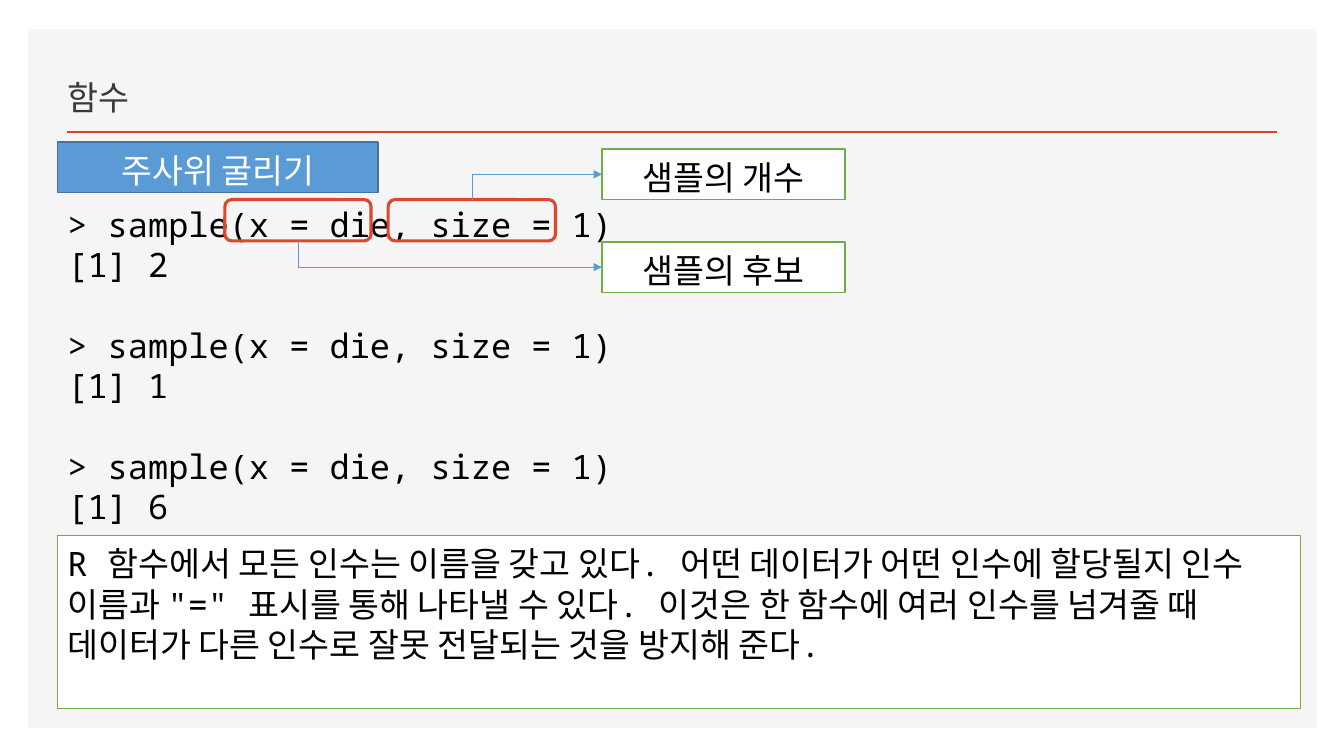
import pptx
import pptx.util
import pptx.dml.color
import pptx.enum.shapes
import pptx.enum.text
import pptx.oxml.ns
from lxml import etree

SHAPE = pptx.enum.shapes.MSO_SHAPE
CONNECTOR = pptx.enum.shapes.MSO_CONNECTOR
ANCHOR = pptx.enum.text.MSO_ANCHOR
ALIGN = pptx.enum.text.PP_ALIGN
qn = pptx.oxml.ns.qn
Pt = pptx.util.Pt


def rgb(value):
    return pptx.dml.color.RGBColor.from_string(value)


class Deck:
    COLUMNS, ROWS = 133.3, 75
    SIZE, LEADING = 24, 28.8
    HANGUL, MONO, TITLE = "Noto Sans CJK KR", "Noto Sans Mono", "Lato"
    RED, GREEN, BLUE = "DD462F", "70AD47", "5B9BD5"

    def __init__(self):
        self.prs = pptx.Presentation()
        self.prs.slide_width = pptx.util.Inches(13.33)
        self.prs.slide_height = pptx.util.Inches(7.5)
        self.s = self.prs.slides.add_slide(self.prs.slide_layouts[6])

    def x(self, column):
        return round(self.prs.slide_width * column / self.COLUMNS)

    def y(self, row):
        return round(self.prs.slide_height * row / self.ROWS)

    def place(self, column, row, columns, rows):
        return self.x(column), self.y(row), self.x(columns), self.y(rows)

    def box(self, place, fill=None, line=None, width=1, kind=SHAPE.RECTANGLE):
        sp = self.s.shapes.add_shape(kind, *self.place(*place))
        sp.shadow.inherit = False
        if fill:
            sp.fill.solid()
            sp.fill.fore_color.rgb = rgb(fill)
        else:
            sp.fill.background()
        if line:
            sp.line.color.rgb = rgb(line)
            sp.line.width = Pt(width)
        else:
            sp.line.fill.background()
        return sp

    def textbox(self, place):
        return self.s.shapes.add_textbox(*self.place(*place))

    def set_text(self, sp, lines, font, color="000000", align=ALIGN.LEFT,
                 anchor=ANCHOR.TOP, gap_every=0):
        tf = sp.text_frame
        tf.word_wrap = True
        tf.vertical_anchor = anchor
        tf.margin_top, tf.margin_bottom = self.y(0.8), self.y(0.2)
        for i, line in enumerate(lines):
            p = tf.add_paragraph() if i else tf.paragraphs[0]
            p.text = line
            p.alignment = align
            p.line_spacing = Pt(self.LEADING)
            if i and gap_every and i % gap_every == 0:
                p.space_before = Pt(self.LEADING)
            p.font.size = Pt(self.SIZE)
            p.font.name = font
            p.font.color.rgb = rgb(color)
            ea = etree.SubElement(p._p.pPr.find(qn("a:defRPr")), qn("a:ea"))
            ea.set("typeface", self.HANGUL)

    def label(self, place, text, fill="FFFFFF", line=GREEN,
              font="DejaVu Sans Mono", color="000000"):
        sp = self.box(place, fill, line)
        self.set_text(sp, [text], font, color, ALIGN.CENTER, ANCHOR.MIDDLE)
        return sp

    def marker(self, place):
        return self.box(place, line=self.RED, width=2.25, kind=SHAPE.ROUNDED_RECTANGLE)

    def connector(self, kind, ends, color, width):
        c = self.s.shapes.add_connector(kind, *ends)
        c.line.color.rgb = rgb(color)
        c.line.width = Pt(width)
        etree.SubElement(c._element.spPr, qn("a:effectLst"))
        return c

    def rule(self, start, end, row):
        ends = self.x(start), self.y(row), self.x(end), self.y(row)
        self.connector(CONNECTOR.STRAIGHT, ends, "D24726", 2)

    def elbow(self, source, target, up):
        x1 = source.left + source.width // 2
        y1 = source.top if up else source.top + source.height
        x2, y2 = target.left, target.top + target.height // 2
        c = self.connector(CONNECTOR.ELBOW, (x1, y1, x2, y2), self.BLUE, 0.5)
        c.begin_connect(source, 0 if up else 2)
        c.end_connect(target, 1)
        c.width, c.height = abs(y2 - y1), x2 - x1
        c.left = (x1 + x2 - c.width) // 2
        c.top = (y1 + y2 - c.height) // 2
        spPr = c._element.spPr
        xfrm = spPr.find(qn("a:xfrm"))
        xfrm.set("rot", str((90 if up else 270) * 60000))
        xfrm.set("flipH", "1")
        xfrm.set("flipV", "1" if up else "0")
        spPr.find(qn("a:prstGeom")).set("prst", "bentConnector2")
        etree.SubElement(spPr.find(qn("a:ln")), qn("a:tailEnd"), type="triangle")


def main():
    deck = Deck()
    deck.box((2.8, 2.9, 127.8, 69.3), "F5F5F5")
    deck.rule(6.6, 126.7, 13.1)
    deck.set_text(deck.textbox((5.7, 4.8, 48.5, 7)), ["함수"], deck.TITLE, "3B3838",
                  anchor=ANCHOR.BOTTOM)

    code = [line for roll in (2, 1, 6)
            for line in ("> sample(x = die, size = 1)", f"[1] {roll}")]
    deck.set_text(deck.textbox((5.7, 19.4, 84.9, 33.3)), code, deck.MONO, gap_every=2)

    size_marker = deck.marker((38.5, 19.8, 16.6, 4.1))
    size_label = deck.label((59.7, 14.8, 24.1, 5), "샘플의 개수")
    deck.elbow(size_marker, size_label, up=True)

    deck.label((5.7, 14.1, 31.8, 5), "주사위 굴리기", deck.BLUE, "43739E",
               deck.TITLE, "FFFFFF")

    x_marker = deck.marker((22.3, 19.8, 14.5, 4.1))
    x_label = deck.label((59.7, 24, 24.1, 5), "샘플의 후보")
    deck.elbow(x_marker, x_label, up=False)

    note = deck.box((5.7, 53.1, 123.3, 17.2), "FFFFFF", deck.GREEN)
    deck.set_text(note, [
        "R 함수에서 모든 인수는 이름을 갖고 있다. 어떤 데이터가 어떤 인수에 할당될지 인수 "
        "이름과 \"=\" 표시를 통해 나타낼 수 있다. 이것은 한 함수에 여러 인수를 넘겨줄 때 "
        "데이터가 다른 인수로 잘못 전달되는 것을 방지해 준다."], deck.MONO)
    deck.prs.save("out.pptx")


if __name__ == "__main__":
    main()
